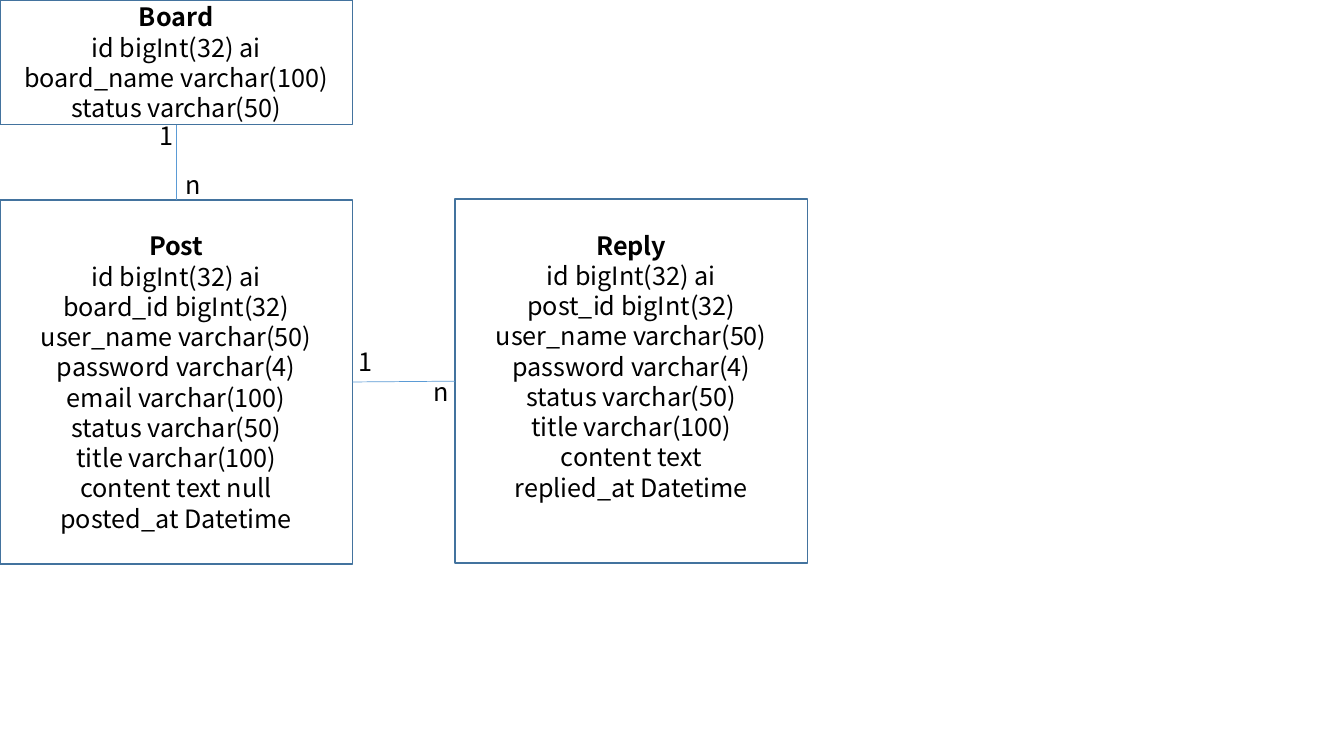
"""Draw an entity diagram of a message board: boards, posts and replies."""
from dataclasses import dataclass

from lxml import etree
from pptx import Presentation
from pptx.dml.color import RGBColor
from pptx.enum.shapes import MSO_CONNECTOR, MSO_SHAPE
from pptx.enum.text import MSO_ANCHOR, MSO_AUTO_SIZE, PP_ALIGN
from pptx.oxml.ns import qn
from pptx.slide import Slide
from pptx.text.text import TextFrame
from pptx.util import Cm, Pt

RECTANGLE = MSO_SHAPE.RECTANGLE
STRAIGHT = MSO_CONNECTOR.STRAIGHT
MIDDLE = MSO_ANCHOR.MIDDLE
CENTER = PP_ALIGN.CENTER
FIT_SHAPE = MSO_AUTO_SIZE.SHAPE_TO_FIT_TEXT

BLACK = RGBColor(0x00, 0x00, 0x00)
BORDER_BLUE = RGBColor(0x43, 0x73, 0x9E)
RELATION_BLUE = RGBColor(0x5B, 0x9B, 0xD5)

FONT_NAME = "Noto Sans CJK KR"
FONT_SIZE = Pt(18)
ENTITY_WIDTH = 8.88
LABEL_WIDTH, LABEL_HEIGHT = 0.87, 1.02
DEFAULT_INSET = 0.13
LINE_HEIGHT = 0.76


@dataclass(frozen=True)
class Entity:
    """A table of the database, with its place in centimetres."""

    name: str
    fields: tuple[str, ...]
    left: float
    top: float
    height: float
    bottom_inset: float = DEFAULT_INSET

    @property
    def right(self) -> float:
        return self.left + ENTITY_WIDTH

    @property
    def bottom(self) -> float:
        return self.top + self.height

    @property
    def center_x(self) -> float:
        return self.left + ENTITY_WIDTH / 2

    @property
    def center_y(self) -> float:
        return self.top + self.height / 2


@dataclass(frozen=True)
class Relation:
    """A line between two entities, in centimetres."""

    start: tuple[float, float]
    end: tuple[float, float]


@dataclass(frozen=True)
class Cardinality:
    """A label at one end of a relation, in centimetres."""

    text: str
    left: float
    top: float


BOARD = Entity(
    "Board",
    ("id bigInt(32) ai", "board_name varchar(100)", "status varchar(50)"),
    left=0, top=0, height=3.14,
)
POST = Entity(
    "Post",
    ("id bigInt(32) ai", "board_id bigInt(32)", "user_name varchar(50)",
     "password varchar(4)", "email varchar(100)", "status varchar(50)",
     "title varchar(100)", "content text null", "posted_at Datetime"),
    left=0, top=5.04, height=9.17,
)
REPLY = Entity(
    "Reply",
    ("id bigInt(32) ai", "post_id bigInt(32)", "user_name varchar(50)",
     "password varchar(4)", "status varchar(50)", "title varchar(100)",
     "content text", "replied_at Datetime"),
    left=11.47, top=5.02, height=9.17, bottom_inset=DEFAULT_INSET + LINE_HEIGHT,
)
RELATIONS = (
    Relation((BOARD.center_x, BOARD.bottom), (POST.center_x, POST.top)),
    Relation((POST.right, POST.center_y), (REPLY.left, REPLY.center_y)),
)
CARDINALITIES = (
    Cardinality("1", 3.76, 2.9),
    Cardinality("n", 4.43, 4.14),
    Cardinality("1", 8.79, 8.61),
    Cardinality("n", 10.67, 9.37),
)


def format_text(text_frame: TextFrame) -> None:
    """Give every run the common font."""
    for paragraph in text_frame.paragraphs:
        for run in paragraph.runs:
            run.font.name = FONT_NAME
            run.font.size = FONT_SIZE
            run.font.color.rgb = BLACK


def draw_entity(slide: Slide, entity: Entity) -> None:
    """Draw an unfilled box with a bold name above its fields."""
    shape = slide.shapes.add_shape(
        RECTANGLE, Cm(entity.left), Cm(entity.top), Cm(ENTITY_WIDTH), Cm(entity.height)
    )
    shape.shadow.inherit = False
    shape.fill.background()
    shape.line.color.rgb = BORDER_BLUE
    shape.line.width = Pt(1)
    text_frame = shape.text_frame
    text_frame.word_wrap = True
    text_frame.vertical_anchor = MIDDLE
    text_frame.margin_bottom = Cm(entity.bottom_inset)
    text_frame.text = "\n".join((entity.name, *entity.fields))
    format_text(text_frame)
    for paragraph in text_frame.paragraphs:
        paragraph.alignment = CENTER
    text_frame.paragraphs[0].runs[0].font.bold = True


def draw_relation(slide: Slide, relation: Relation) -> None:
    """Draw a thin line without a shadow."""
    connector = slide.shapes.add_connector(
        STRAIGHT, *(Cm(length) for length in relation.start + relation.end)
    )
    connector.line.color.rgb = RELATION_BLUE
    connector.line.width = Pt(0.5)
    etree.SubElement(connector.element.spPr, qn("a:effectLst"))


def draw_cardinality(slide: Slide, cardinality: Cardinality) -> None:
    """Draw a label that does not wrap."""
    text_box = slide.shapes.add_textbox(
        Cm(cardinality.left), Cm(cardinality.top), Cm(LABEL_WIDTH), Cm(LABEL_HEIGHT)
    )
    text_frame = text_box.text_frame
    text_frame.word_wrap = False
    text_frame.auto_size = FIT_SHAPE
    text_frame.text = cardinality.text
    format_text(text_frame)


def main() -> None:
    """Build and save the presentation."""
    presentation = Presentation()
    presentation.slide_width = Cm(33.87)
    presentation.slide_height = Cm(19.05)
    slide = presentation.slides.add_slide(presentation.slide_layouts[6])
    for entity in (BOARD, POST, REPLY):
        draw_entity(slide, entity)
    for relation in RELATIONS:
        draw_relation(slide, relation)
    for cardinality in CARDINALITIES:
        draw_cardinality(slide, cardinality)
    presentation.save("out.pptx")


main()
